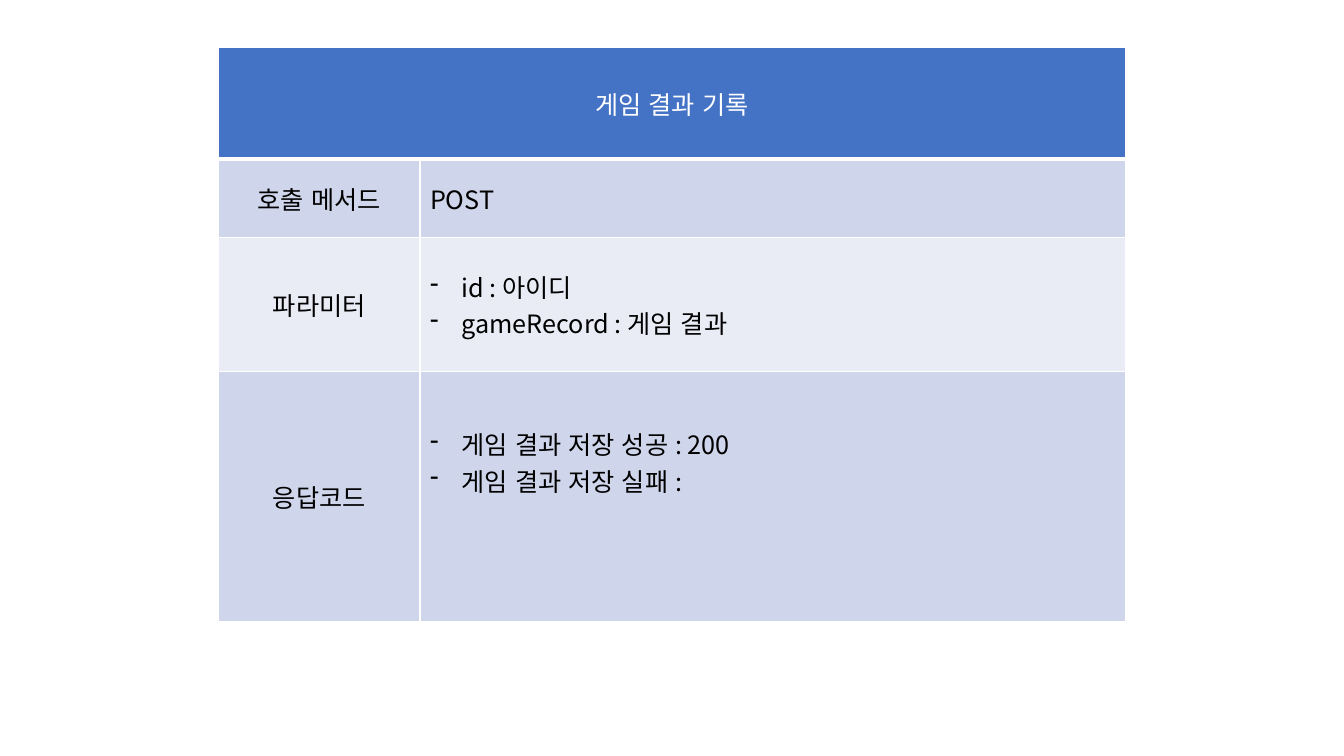
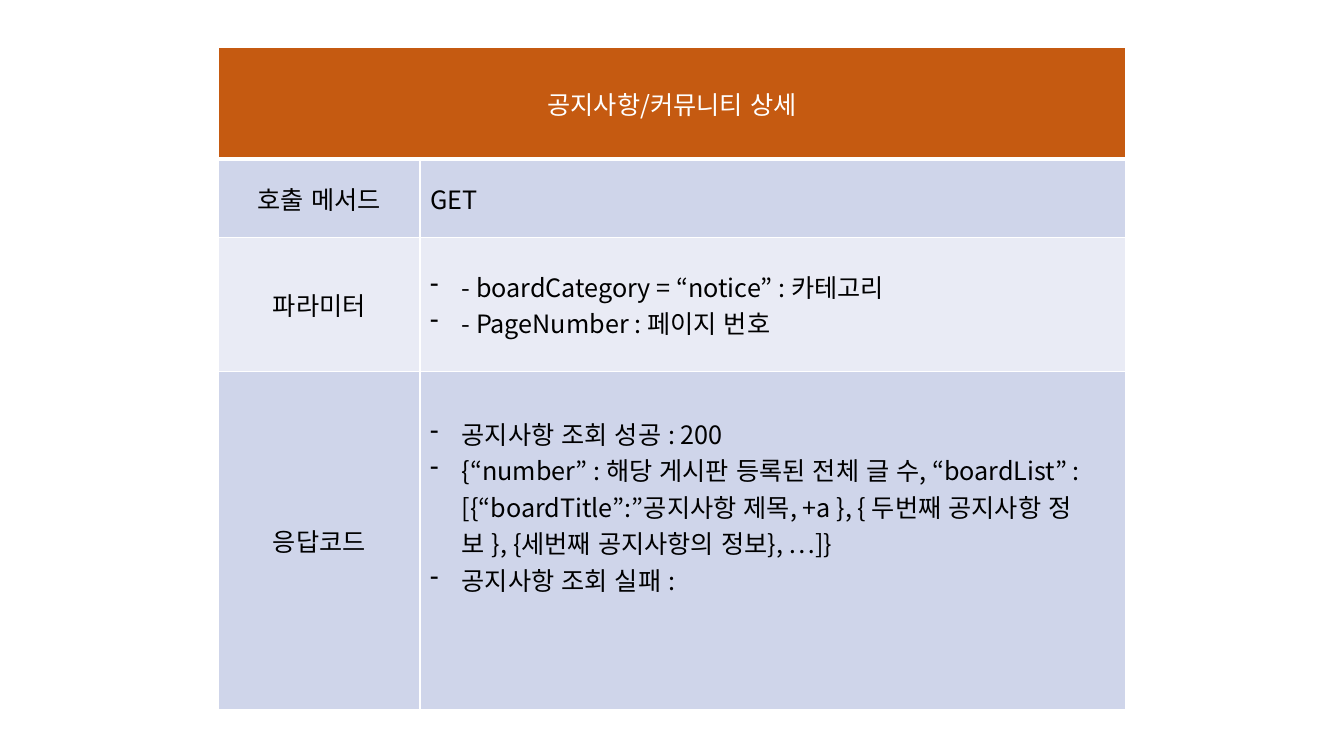
from pptx import Presentation
from pptx.dml.color import RGBColor as Rgb
from pptx.enum.lang import MSO_LANGUAGE_ID as Lang
from pptx.enum.text import MSO_ANCHOR as Anchor, PP_ALIGN as Align
from pptx.oxml.xmlchemy import OxmlElement as Node
from pptx.util import Emu, Pt

COLS, ROWS = 80, 45
UNIT = 152400
FACE = "Noto Sans CJK KR"
WHITE, BLACK, BLUE, RUST = "FFFFFF", "000000", "4472C4", "C55A11"
BANDS = ["CFD5EA", "E9EBF5", "CFD5EA"]
LABELS = ["호출 메서드", "파라미터", "응답코드"]
FONT = {"name": FACE, "size": Pt(18), "bold": False, "language_id": Lang.KOREAN}
FLAGS = {"first_row": False, "horz_banding": False}
WIDTHS = [12, 42]
HEAD = [6.65, 4.64, 8]
LEFT, TOP = 13, 2.83
INDENT = 1.88

PAGES = [
    {"title": "게임 결과 기록", "color": BLUE, "verb": "POST",
     "params": ["id : 아이디", "gameRecord : 게임 결과"],
     "codes": ["게임 결과 저장 성공 : 200", "게임 결과 저장 실패 :"],
     "tall": 14.87, "pad": 3.2},
    {"title": "공지사항/커뮤니티 상세", "color": RUST, "verb": "GET",
     "params": ["- boardCategory = “notice” : 카테고리", "- PageNumber : 페이지 번호"],
     "codes": ["공지사항 조회 성공 : 200",
               "{“number” : 해당 게시판 등록된 전체 글 수, “boardList” : "
               "[{“boardTitle”:”공지사항 제목, +a }, { 두번째 공지사항 정보 }, "
               "{세번째 공지사항의 정보}, …]}",
               "공지사항 조회 실패 :"],
     "tall": 20.1, "pad": 2.6},
]


def grid(n):
    return Emu(round(n * UNIT))


def rgb(code):
    return Rgb.from_string(code)


def apply(item, form):
    for key, val in form.items():
        setattr(item, key, val)


def add(host, tag, **attrs):
    node = Node(tag)
    for key, val in attrs.items():
        node.set(key, str(val))
    host.append(node)
    return node


def frame(cell, base):
    props = cell._tc.get_or_add_tcPr()
    for side, wide in zip("LRTB", [1, 1, 1, base]):
        line = add(props, f"a:ln{side}", w=Pt(wide))
        add(add(line, "a:solidFill"), "a:srgbClr", val=WHITE)


def dash(para):
    props = para._p.get_or_add_pPr()
    apply_at = {"marL": grid(INDENT), "indent": -grid(INDENT)}
    for key, val in apply_at.items():
        props.set(key, str(val))
    add(props, "a:buFontTx")
    add(props, "a:buChar", char="-")


def write(cell, lines, fill, ink=BLACK, align=Align.LEFT, list_on=False, base=1):
    frame(cell, base)
    cell.fill.solid()
    cell.fill.fore_color.rgb = rgb(fill)
    cell.vertical_anchor = Anchor.MIDDLE
    text = cell.text_frame
    for i, line in enumerate(lines):
        para = text.add_paragraph() if i else text.paragraphs[0]
        para.alignment = align
        if list_on:
            dash(para)
        run = para.add_run()
        run.text = line
        apply(run.font, FONT)
        run.font.color.rgb = rgb(ink)
        add(run._r.get_or_add_rPr(), "a:ea", typeface=FACE)


def sheet(slide, page, left, top):
    highs = HEAD + [page["tall"]]
    box = [grid(n) for n in (left, top, sum(WIDTHS), sum(highs))]
    table = slide.shapes.add_table(len(highs), len(WIDTHS), *box).table
    apply(table, FLAGS)
    for col, wide in zip(table.columns, WIDTHS):
        col.width = grid(wide)
    for row, high in zip(table.rows, highs):
        row.height = grid(high)

    title = table.cell(0, 0)
    title.merge(table.cell(0, 1))
    write(title, [page["title"]], page["color"], WHITE, Align.CENTER, base=3)
    bodies = [[page["verb"]], page["params"], page["codes"]]
    for i, (label, lines, band) in enumerate(zip(LABELS, bodies, BANDS), 1):
        write(table.cell(i, 0), [label], band, align=Align.CENTER)
        write(table.cell(i, 1), lines, band, list_on=i > 1)
    apply(table.cell(3, 1), {"vertical_anchor": Anchor.TOP,
                             "margin_top": grid(page["pad"])})


def main():
    deck = Presentation()
    apply(deck, {"slide_width": grid(COLS), "slide_height": grid(ROWS)})
    for page in PAGES:
        sheet(deck.slides.add_slide(deck.slide_layouts[6]), page, LEFT, TOP)
    deck.save("out.pptx")


if __name__ == "__main__":
    main()
